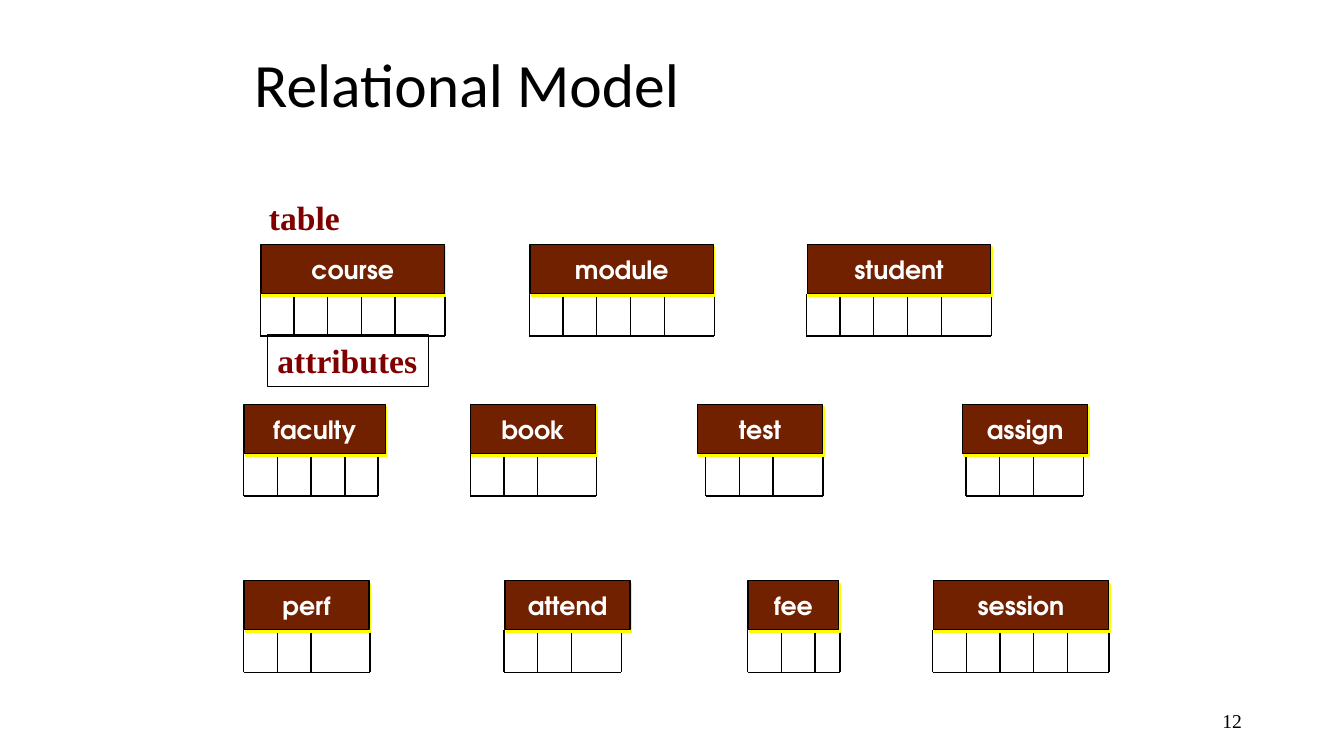
from lxml.etree import SubElement
from pptx import Presentation
from pptx.dml.color import RGBColor
from pptx.enum.shapes import MSO_CONNECTOR, MSO_SHAPE
from pptx.enum.text import MSO_ANCHOR, MSO_AUTO_SIZE, PP_ALIGN
from pptx.oxml.ns import qn
from pptx.util import Cm, Pt

BLACK = RGBColor(0x00, 0x00, 0x00)
WHITE = RGBColor(0xFF, 0xFF, 0xFF)
BROWN = RGBColor(0x71, 0x20, 0x00)
MAROON = RGBColor(0x80, 0x00, 0x00)
YELLOW = RGBColor(0xFA, 0xFD, 0x00)

SERIF = "Times New Roman"
HEADER_HEIGHT = 1.24
CELL_TOP = 1.25      # from the top of the header
CELL_BOTTOM = 2.31
CELL_PITCH = 0.85    # the last attribute takes the remaining width

# Top of each row and its tables, in centimetres:
# name, header left, header width, cells left, cells width, attributes
ROWS = [
    (6.16, [
        ("course", 6.58, 4.62, 6.56, 4.66, 5),
        ("module", 13.36, 4.62, 13.34, 4.66, 5),
        ("student", 20.35, 4.62, 20.32, 4.66, 5),
    ]),
    (10.19, [
        ("faculty", 6.15, 3.56, 6.14, 3.39, 4),
        ("book", 11.86, 3.15, 11.85, 3.18, 3),
        ("test", 17.58, 3.15, 17.78, 2.96, 3),
        ("assign", 24.26, 3.15, 24.34, 2.96, 3),
    ]),
    (14.63, [
        ("perf", 6.15, 3.15, 6.14, 3.18, 3),
        ("attend", 12.73, 3.15, 12.7, 2.96, 3),
        ("fee", 18.85, 2.29, 18.84, 2.33, 3),
        ("session", 23.52, 4.42, 23.5, 4.45, 5),
    ]),
]


def write_text(shape, text, font, size, color, bold=False,
               align=PP_ALIGN.LEFT, anchor=MSO_ANCHOR.TOP, wrap=False):
    frame = shape.text_frame
    frame.text = text
    frame.word_wrap = wrap
    frame.auto_size = MSO_AUTO_SIZE.NONE
    frame.vertical_anchor = anchor
    para = frame.paragraphs[0]
    para.alignment = align
    span = para.runs[0]
    span.font.name = font
    span.font.size = Pt(size)
    span.font.bold = bold
    span.font.color.rgb = color
    return para


def add_title(page, text):
    title = page.shapes.title
    title.left, title.top = Cm(6.15), Cm(0)
    title.width, title.height = Cm(21.59), Cm(3.18)
    para = write_text(title, text, "Calibri", 44, BLACK,
                      anchor=MSO_ANCHOR.BOTTOM, wrap=True)
    para.line_spacing = 0.9


def add_label(page, text, left, top, width, height):
    box = page.shapes.add_textbox(Cm(left), Cm(top), Cm(width), Cm(height))
    write_text(box, text, SERIF, 24, MAROON, bold=True)
    return box


def add_line(page, x1, y1, x2, y2):
    line = page.shapes.add_connector(
        MSO_CONNECTOR.STRAIGHT, Cm(x1), Cm(y1), Cm(x2), Cm(y2))
    line.line.color.rgb = BLACK
    line.line.width = Pt(1)
    SubElement(line._element.spPr, qn("a:effectLst"))


def add_cells(page, left, top, width, count):
    """Draw the open-topped row of attribute cells."""
    right, bottom = left + width, top + CELL_BOTTOM
    edges = [left + CELL_PITCH * i for i in range(count)] + [right]
    for x in edges:
        add_line(page, x, top + CELL_TOP, x, bottom)
    add_line(page, left, bottom, right, bottom)


def add_yellow_shadow(shape):
    shape.shadow.inherit = False
    effects = shape._element.spPr.find(qn("a:effectLst"))
    shadow = SubElement(effects, qn("a:outerShdw"), blurRad="0",
                        dist=str(Pt(2.2)), dir=str(63 * 60000),
                        algn="ctr", rotWithShape="0")
    SubElement(shadow, qn("a:srgbClr"), val=str(YELLOW))


def add_header(page, name, left, top, width):
    header = page.shapes.add_shape(MSO_SHAPE.RECTANGLE, Cm(left), Cm(top),
                                   Cm(width), Cm(HEADER_HEIGHT))
    header.fill.solid()
    header.fill.fore_color.rgb = BROWN
    header.line.color.rgb = BLACK
    header.line.width = Pt(1)
    add_yellow_shadow(header)
    write_text(header, name, "TeX Gyre Adventor", 18, WHITE, bold=True,
               align=PP_ALIGN.CENTER, anchor=MSO_ANCHOR.MIDDLE)


def add_page_number(page, number):
    box = page.shapes.add_textbox(Cm(23.93), Cm(17.65), Cm(7.62), Cm(1.02))
    write_text(box, number, SERIF, 14, BLACK, align=PP_ALIGN.RIGHT,
               anchor=MSO_ANCHOR.MIDDLE, wrap=True)


def main():
    deck = Presentation()
    deck.slide_width, deck.slide_height = Cm(33.87), Cm(19.05)
    page = deck.slides.add_slide(deck.slide_layouts[5])

    add_title(page, "Relational Model")
    add_page_number(page, "12")

    # Tables with their attributes
    for top, tables in ROWS:
        for name, left, width, cells_left, cells_width, count in tables:
            add_cells(page, cells_left, top, cells_width, count)
            add_header(page, name, left, top, width)

    # Labels on the first table
    add_label(page, "table", 6.53, 4.83, 2.31, 1.3)
    attributes = add_label(page, "attributes", 6.74, 8.44, 4.06, 1.3)
    attributes.line.color.rgb = BLACK
    attributes.line.width = Pt(0.75)

    deck.save("out.pptx")


if __name__ == "__main__":
    main()
